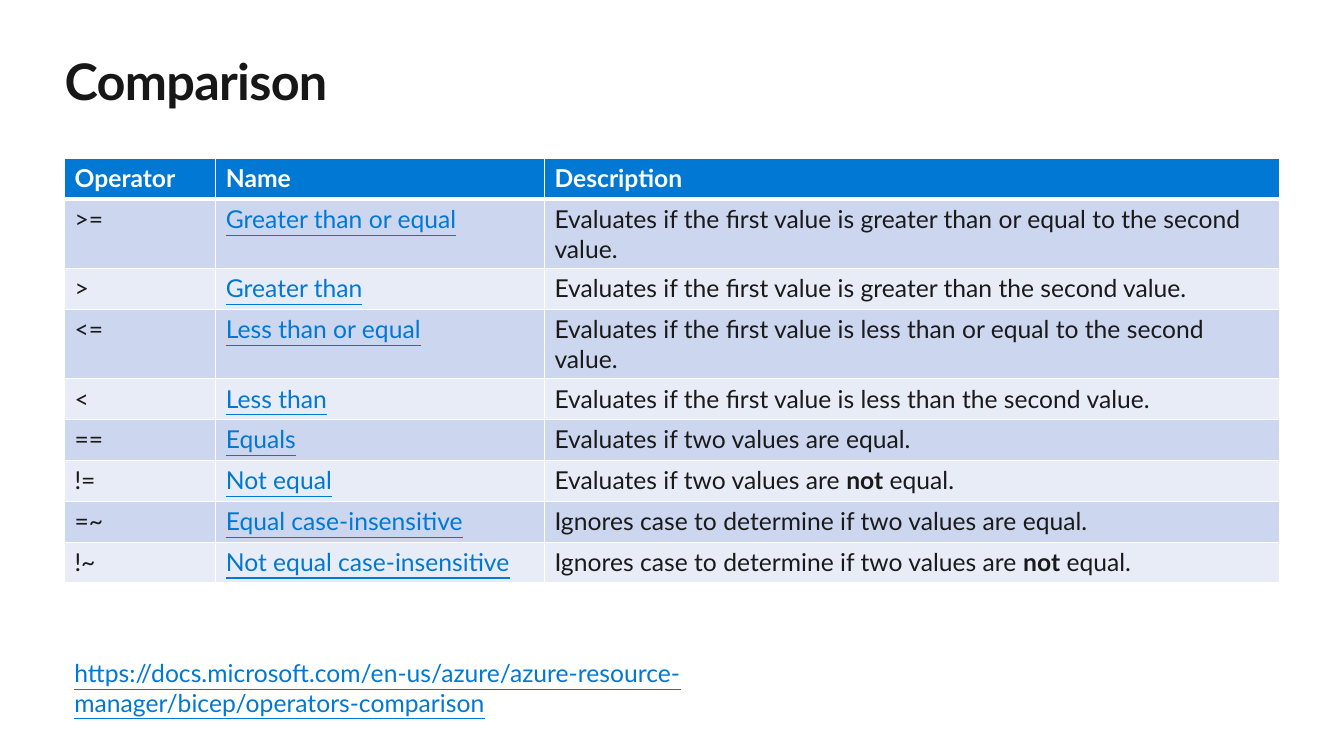
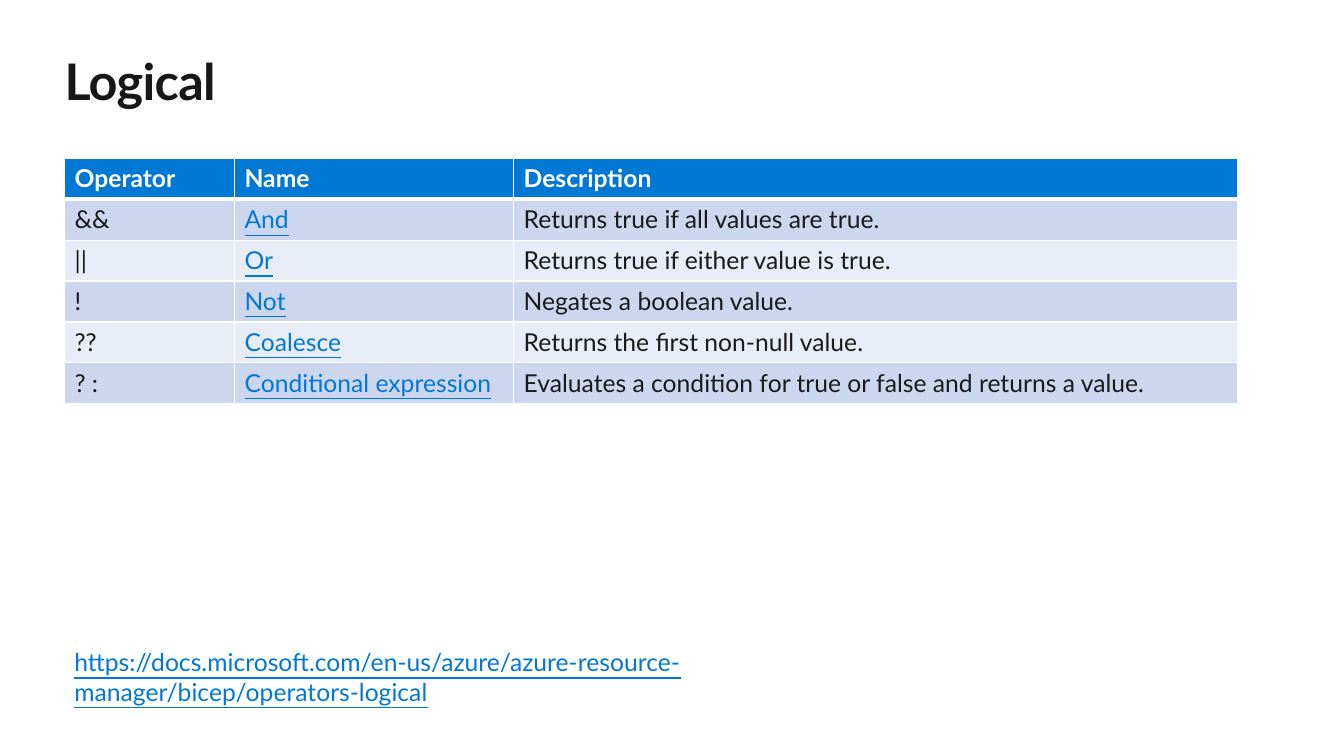
from lxml import etree
from pptx import Presentation
from pptx.dml.color import RGBColor
from pptx.enum import text
from pptx.oxml import ns
from pptx.util import Pt

# Content: *word* marks bold
HEADINGS = ("Operator", "Name", "Description")
DOCS = "https://docs.microsoft.com/en-us/azure/azure-resource-manager/bicep/"
TOPICS = [
    {
        "title": "Comparison",
        "columns": (108, 234.8, 524.9),
        "url": DOCS + "operators-comparison",
        "url_top": 466.6,
        "operators": [
            (">=", "Greater than or equal",
             "Evaluates if the first value is greater than or equal to the second value."),
            (">", "Greater than",
             "Evaluates if the first value is greater than the second value."),
            ("<=", "Less than or equal",
             "Evaluates if the first value is less than or equal to the second value."),
            ("<", "Less than",
             "Evaluates if the first value is less than the second value."),
            ("==", "Equals", "Evaluates if two values are equal."),
            ("!=", "Not equal", "Evaluates if two values are *not* equal."),
            ("=~", "Equal case-insensitive",
             "Ignores case to determine if two values are equal."),
            ("!~", "Not equal case-insensitive",
             "Ignores case to determine if two values are *not* equal."),
        ],
    },
    {
        "title": "Logical",
        "columns": (121.4, 199.4, 517),
        "url": DOCS + "operators-logical",
        "url_top": 458.6,
        "operators": [
            ("&&", "And", "Returns true if all values are true."),
            ("||", "Or", "Returns true if either value is true."),
            ("!", "Not", "Negates a boolean value."),
            ("??", "Coalesce", "Returns the first non-null value."),
            ("? :", "Conditional expression",
             "Evaluates a condition for true or false and returns a value."),
        ],
    },
]

# Shared style
FONT = "Lato"
TITLE_INK, INK, BLUE, WHITE = "171717", "1A1A1A", "0078D4", "FFFFFF"
BANDS = ("CCD6EF", "E7ECF7")
LEFT, TITLE_TOP, TABLE_TOP = 46.1, 36, 113.2
CONTENT_WIDTH, TITLE_HEIGHT, ROW_HEIGHT = 867.7, 44, 29.2
URL_WIDTH, URL_HEIGHT = 530.6, 50.4
TITLE_SIZE, TEXT_SIZE = 36, 17.6


def rgb(color):
    return RGBColor.from_string(color)


def write(frame, words, size, color, bold=False, underline=False):
    paragraph = frame.paragraphs[0]
    font = paragraph.font
    font.name, font.size, font.bold = FONT, Pt(size), bold
    font.underline = underline
    font.color.rgb = rgb(color)
    return paragraph_runs(paragraph, words)


def paragraph_runs(paragraph, words):
    for index, part in enumerate(words.split("*")):
        run = paragraph.add_run()
        run.text = part
        if index % 2:
            run.font.bold = True
    return paragraph


def set_borders(cell, **widths):
    properties = cell._tc.get_or_add_tcPr()
    for side in "LRTB":
        line = etree.SubElement(properties, ns.qn(f"a:ln{side}"),
                                w=str(Pt(widths.get(side, 1))))
        fill = etree.SubElement(line, ns.qn("a:solidFill"))
        etree.SubElement(fill, ns.qn("a:srgbClr"), val=WHITE)


def add_title(slide, words):
    title = slide.shapes.title
    title.left, title.top = Pt(LEFT), Pt(TITLE_TOP)
    title.width, title.height = Pt(CONTENT_WIDTH), Pt(TITLE_HEIGHT)
    frame = title.text_frame
    frame.margin_left = frame.margin_right = 0
    frame.margin_top = frame.margin_bottom = 0
    frame.vertical_anchor = text.MSO_ANCHOR.TOP
    frame.auto_size = text.MSO_AUTO_SIZE.NONE
    paragraph = write(frame, words, TITLE_SIZE, TITLE_INK, bold=True)
    paragraph.alignment = text.PP_ALIGN.LEFT
    paragraph.runs[0]._r.get_or_add_rPr().set("spc", "-50")


def add_operators(slide, columns, operators):
    rows = [HEADINGS] + operators
    table = slide.shapes.add_table(
        len(rows), len(columns), Pt(LEFT), Pt(TABLE_TOP),
        Pt(sum(columns)), Pt(ROW_HEIGHT * len(rows))).table
    for column, width in zip(table.columns, columns):
        column.width = Pt(width)
    for r, row in enumerate(rows):
        table.rows[r].height = Pt(ROW_HEIGHT)
        for c, words in enumerate(row):
            cell = table.cell(r, c)
            heading = r == 0
            name = c == 1 and not heading
            # A thicker rule parts the headings from the rows
            set_borders(cell, B=3 if heading else 1, T=3 if r == 1 else 1)
            cell.fill.solid()
            cell.fill.fore_color.rgb = rgb(BLUE if heading else BANDS[(r - 1) % 2])
            color = WHITE if heading else BLUE if name else INK
            write(cell.text_frame, words, TEXT_SIZE, color, heading, name)


def add_url(slide, url, top):
    box = slide.shapes.add_textbox(Pt(LEFT), Pt(top), Pt(URL_WIDTH), Pt(URL_HEIGHT))
    box.text_frame.word_wrap = True
    write(box.text_frame, url, TEXT_SIZE, BLUE, underline=True)


def main():
    deck = Presentation()
    deck.slide_width, deck.slide_height = Pt(960), Pt(540)
    title_only = deck.slide_layouts[5]
    for topic in TOPICS:
        slide = deck.slides.add_slide(title_only)
        add_title(slide, topic["title"])
        add_operators(slide, topic["columns"], topic["operators"])
        add_url(slide, topic["url"], topic["url_top"])
    deck.save("out.pptx")


if __name__ == "__main__":
    main()
